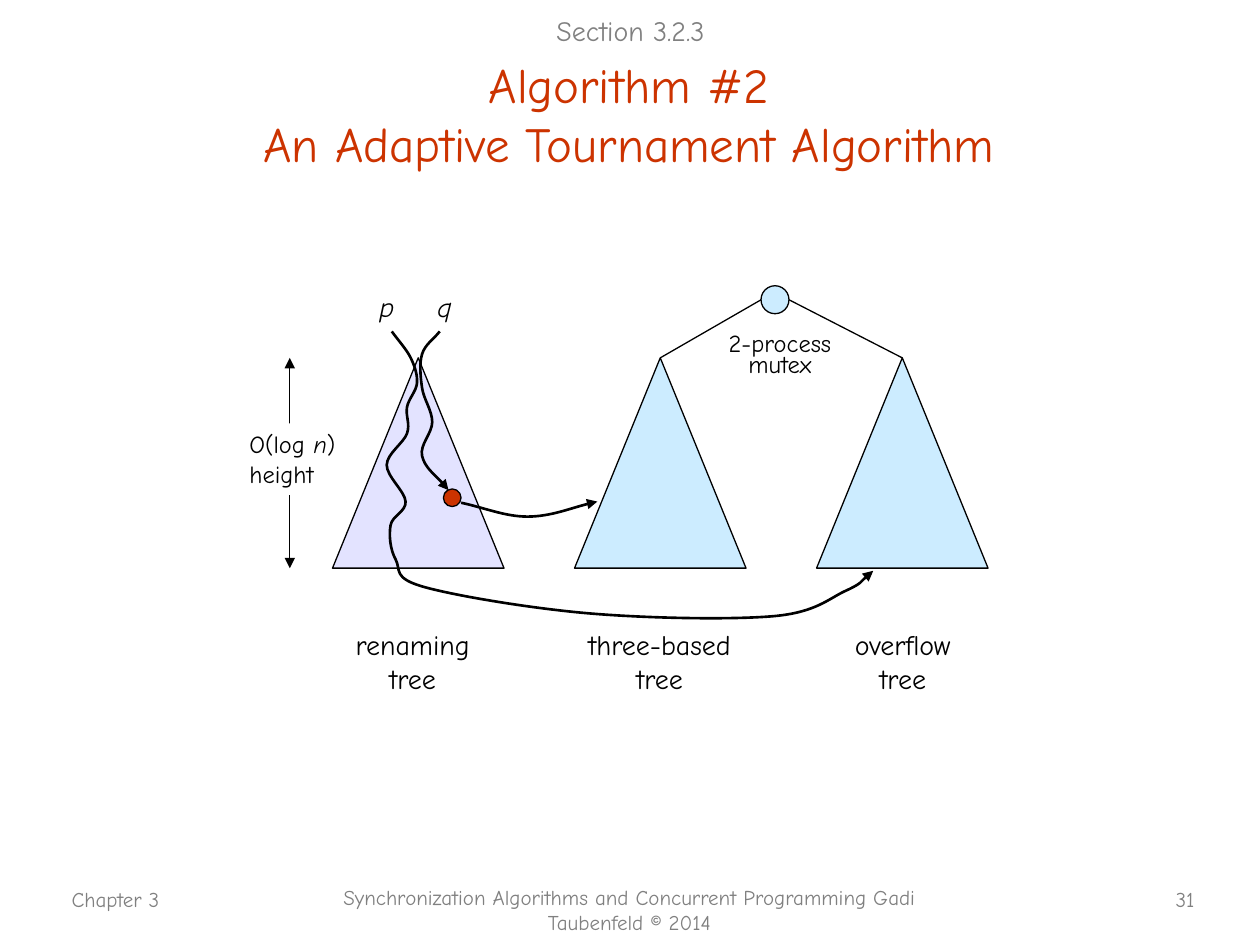
import pptx
import pptx.dml.color
import pptx.enum.shapes
import pptx.enum.text
import pptx.oxml
import pptx.oxml.ns
import pptx.util

Pt = pptx.util.Pt
Shape = pptx.enum.shapes.MSO_SHAPE
Align = pptx.enum.text.PP_ALIGN
Anchor = pptx.enum.text.MSO_ANCHOR

COLORS = {
    "ink": "000000",
    "muted": "808080",
    "accent": "CC3300",
    "lilac": "E3E3FF",
    "sky": "CCECFF",
    "paper": "FFFFFF",
}


def rgb(name):
    return pptx.dml.color.RGBColor.from_string(COLORS[name])


def drawing_element(tag, **attributes):
    element = pptx.oxml.parse_xml(f"<a:{tag} {pptx.oxml.ns.nsdecls('a')}/>")
    for key, value in attributes.items():
        element.set(key, str(value))
    return element


class Sketch:
    font = "Comic Neue"
    thin = 0.75
    thick = 1.5

    def __init__(self, slide):
        self.slide = slide

    def text(self, box, lines, size, color="ink", align=Align.LEFT,
             anchor=Anchor.TOP, wrap=True, spacing=None, fill=None):
        holder = self.slide.shapes.add_textbox(*map(Pt, box))
        if fill:
            holder.fill.solid()
            holder.fill.fore_color.rgb = rgb(fill)
        frame = holder.text_frame
        frame.word_wrap = wrap
        frame.vertical_anchor = anchor
        for index, line in enumerate(lines):
            paragraph = frame.add_paragraph() if index else frame.paragraphs[0]
            paragraph.alignment = align
            if spacing:
                paragraph.line_spacing = spacing
            for words, italic in line:
                run = paragraph.add_run()
                run.text = words
                run.font.name = self.font
                run.font.size = Pt(size)
                run.font.italic = italic
                run.font.color.rgb = rgb(color)

    def shape(self, kind, box, fill):
        figure = self.slide.shapes.add_shape(kind, *map(Pt, box))
        figure.shadow.inherit = False
        figure.fill.solid()
        figure.fill.fore_color.rgb = rgb(fill)
        self.stroke(figure, self.thin)

    def stroke(self, figure, width, arrows=()):
        figure.line.color.rgb = rgb("ink")
        figure.line.width = Pt(width)
        outline = figure.line._get_or_add_ln()
        for end in arrows:
            outline.append(drawing_element(end, type="triangle"))

    def line(self, start, end, arrows=()):
        link = self.slide.shapes.add_connector(
            pptx.enum.shapes.MSO_CONNECTOR.STRAIGHT, *map(Pt, start + end))
        self.stroke(link, self.thin, arrows)
        link._element.spPr.append(drawing_element("effectLst"))

    def curve(self, stops):
        stops = [tuple(map(Pt, stop)) for stop in stops]
        builder = self.slide.shapes.build_freeform(*stops[0], scale=1.0)
        builder.add_line_segments(stops[1:], close=False)
        route = builder.convert_to_shape()
        route.shadow.inherit = False
        route.fill.background()
        self.stroke(route, self.thick, ["tailEnd"])
        self.smooth(route)

    def smooth(self, route):
        knots = [(int(pt.get("x")), int(pt.get("y")))
                 for pt in route._element.xpath(".//a:moveTo/a:pt | .//a:lnTo/a:pt")]
        before = tuple(2 * a - b for a, b in zip(knots[0], knots[1]))
        after = tuple(2 * a - b for a, b in zip(knots[-1], knots[-2]))
        knots = [before] + knots + [after]
        for index, segment in enumerate(route._element.xpath(".//a:lnTo")):
            previous, start, end, following = knots[index:index + 4]
            leave = [s + (e - p) / 6 for p, s, e in zip(previous, start, end)]
            arrive = [e - (f - s) / 6 for s, e, f in zip(start, end, following)]
            bend = drawing_element("cubicBezTo")
            for x, y in (leave, arrive, end):
                bend.append(drawing_element("pt", x=round(x), y=round(y)))
            segment.getparent().replace(segment, bend)


deck = pptx.Presentation()
deck.slide_width, deck.slide_height = Pt(720), Pt(540)
sketch = Sketch(deck.slides.add_slide(deck.slide_layouts[6]))

sketch.text((292.3, 4.3, 136, 26), [[("Section 3.2.3", False)]], 16, "muted",
            Align.CENTER, Anchor.MIDDLE)
sketch.text((59.8, 26, 599, 77.8),
            [[("Algorithm #2", False)], [("An Adaptive Tournament Algorithm", False)]],
            28, "accent", Align.CENTER, Anchor.MIDDLE)

TREE_LEFT, TREE_STEP, TREE_TOP = 190, 138.3, 204.5
TREE_WIDTH, TREE_HEIGHT = 98, 120.2
TREE_BASE = TREE_TOP + TREE_HEIGHT
trees = [
    ("renaming tree", "lilac", 191.5, 88.6),
    ("three-based tree", "sky", 321.1, 111.6),
    ("overflow tree", "sky", 468.7, 94.3),
]
apexes = []
for position, (label, fill, label_left, label_width) in enumerate(trees):
    left = TREE_LEFT + position * TREE_STEP
    apexes.append((left + TREE_WIDTH / 2, TREE_TOP))
    sketch.shape(Shape.ISOSCELES_TRIANGLE, (left, TREE_TOP, TREE_WIDTH, TREE_HEIGHT), fill)
    sketch.text((label_left, 355, label_width, 46), [[(label, False)]], 16,
                align=Align.CENTER)

sketch.shape(Shape.FLOWCHART_CONNECTOR, (434.9, 163.3, 16, 16), "sky")
sketch.line(apexes[1], (434.9, 171.3))
sketch.line(apexes[2], (450.9, 171.3))
sketch.text((392.4, 188.6, 106.6, 31), [[("2-process mutex", False)]], 14,
            align=Align.CENTER, spacing=0.7)

sketch.line((165.6, TREE_TOP), (165.6, TREE_BASE), ["headEnd", "tailEnd"])
sketch.text((135.4, 241.9, 66.2, 41),
            [[("O(log ", False), ("n", True), (")", False)], [("height", False)]],
            14, wrap=False, fill="paper")

q_descent = [(251.3, 189.4), (241.2, 202.3), (241.2, 221.8), (247, 241.2),
             (241.2, 260.6), (256.3, 280.1)]
p_descent = [(223.9, 189.4), (234.7, 204.5), (238.3, 218.9), (232.6, 232.6),
             (232.6, 247.7), (221, 265.7), (231.8, 286.6), (223.2, 300.2),
             (226.1, 319.7), (242.6, 335.5), (337.7, 350.6), (442.1, 352.1),
             (483.1, 337.7), (499, 326.2)]
name_to_three_based = [(263.5, 287.3), (301.7, 295.2), (341.3, 286.6)]

sketch.curve(q_descent)
sketch.curve(p_descent)
sketch.shape(Shape.FLOWCHART_CONNECTOR, (253.4, 279.4, 10.1, 10.1), "accent")
sketch.curve(name_to_three_based)

for process, left in (("p", 209.5), ("q", 242.6)):
    sketch.text((left, 162, 23, 26.6), [[(process, True)]], 16,
                align=Align.CENTER, wrap=False)

footers = [
    ("Chapter 3", (33.8, 503.3, 149.8, 36), Align.LEFT),
    ("Synchronization Algorithms and Concurrent Programming Gadi Taubenfeld © 2014",
     (185.8, 501.8, 347.8, 36), Align.CENTER),
    ("31", (655.9, 503.3, 33.8, 21.6), Align.RIGHT),
]
for words, box, align in footers:
    sketch.text(box, [[(words, False)]], 12, "muted", align)

deck.save("out.pptx")
